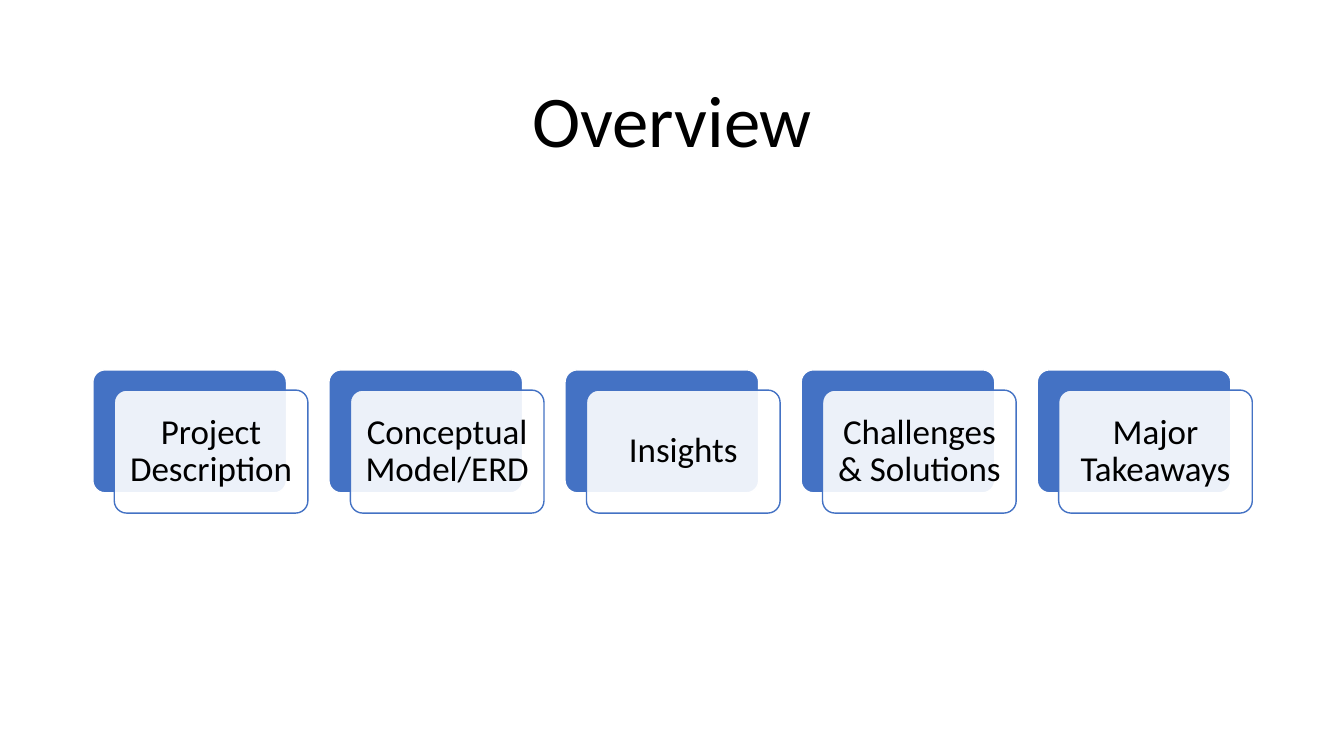
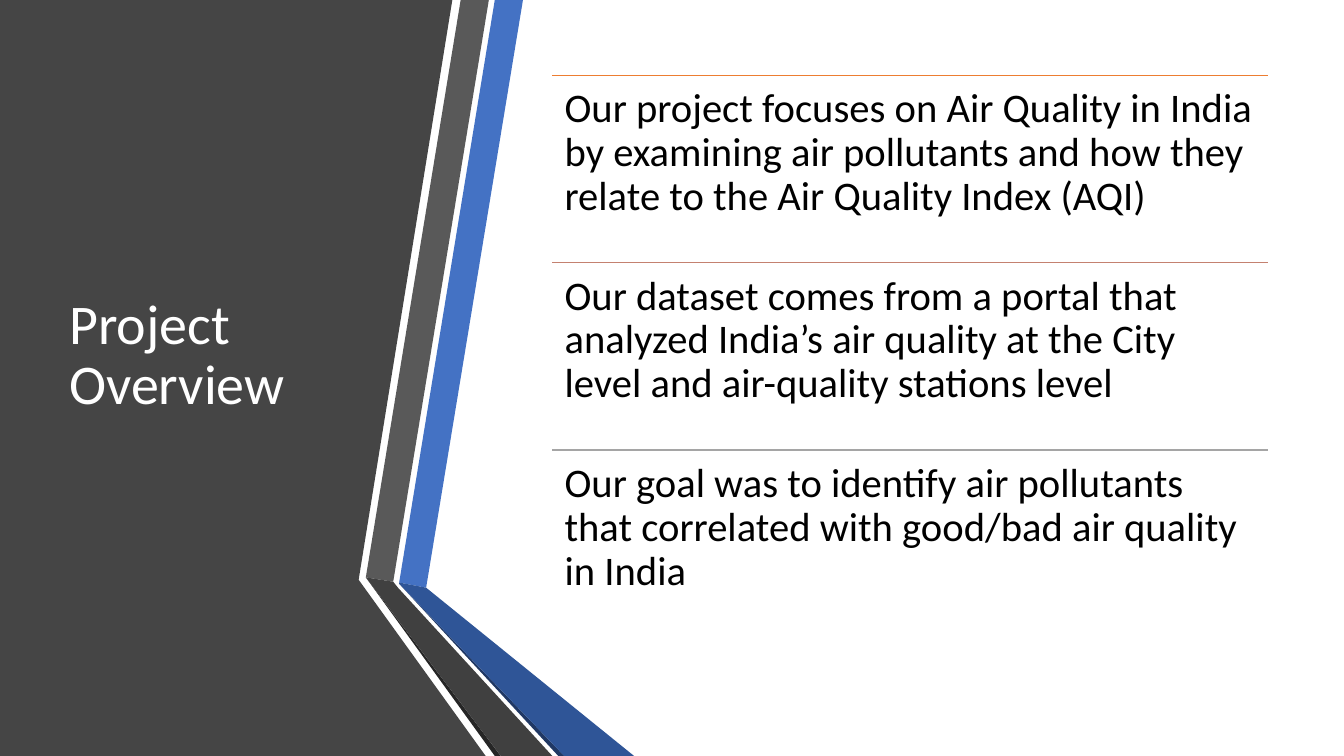
from lxml import etree
from pptx import Presentation
from pptx.dml.color import RGBColor
from pptx.enum.shapes import MSO_CONNECTOR, MSO_SHAPE
from pptx.enum.text import MSO_ANCHOR, PP_ALIGN
from pptx.oxml.ns import qn
from pptx.util import Cm, Pt

CENTER, LEFT = PP_ALIGN.CENTER, PP_ALIGN.LEFT
TOP, MIDDLE = MSO_ANCHOR.TOP, MSO_ANCHOR.MIDDLE
ROUND, STRAIGHT = MSO_SHAPE.ROUNDED_RECTANGLE, MSO_CONNECTOR.STRAIGHT
FONT = "Calibri"
WIDE, HIGH = 33.87, 19.05
COLORS = {name: RGBColor.from_string(code) for name, code in {
    "white": "FFFFFF", "black": "000000", "blue": "4472C4",
    "deep": "2F5597", "navy": "203864", "panel": "454545",
    "gray": "595959", "coal": "404040", "dark": "262626",
    "orange": "ED7D31", "rose": "C48170", "silver": "A5A5A5",
}.items()}


def write(shape, words, size, color="black", align=LEFT, anchor=MIDDLE, inset=0.25):
    frame = shape.text_frame
    frame.word_wrap = True
    frame.vertical_anchor = anchor
    frame.margin_left = frame.margin_right = Cm(inset)
    frame.margin_top = frame.margin_bottom = Cm(inset)
    para = frame.paragraphs[0]
    para.text = words
    para.alignment = align
    para.line_spacing = 0.9
    para.font.name = FONT
    para.font.size = Pt(size)
    para.font.color.rgb = COLORS[color]


def paint(shape, fill, line=None):
    shape.shadow.inherit = False
    shape.fill.solid()
    shape.fill.fore_color.rgb = COLORS[fill]
    if line:
        shape.line.color.rgb = COLORS[line]
        shape.line.width = Pt(1)
    else:
        shape.line.fill.background()


deck = Presentation()
deck.slide_width, deck.slide_height = Cm(WIDE), Cm(HIGH)
blank = deck.slide_layouts[6]

# Overview: a row of five cards
slide = deck.slides.add_slide(blank)
title = slide.shapes.add_textbox(Cm(2.34), Cm(1.55), Cm(29.2), Cm(3.15))
write(title, "Overview", 52, align=CENTER)

topics = ["Project Description", "Conceptual Model/ERD", "Insights",
          "Challenges & Solutions", "Major Takeaways"]
for i, topic in enumerate(topics):
    left, top = 2.34 + i * 5.95, 9.32
    back = slide.shapes.add_shape(ROUND, Cm(left), Cm(top), Cm(4.88), Cm(3.1))
    front = slide.shapes.add_shape(
        ROUND, Cm(left + 0.54), Cm(top + 0.51), Cm(4.88), Cm(3.1))
    for card, fill, line in [(back, "blue", "white"), (front, "white", "blue")]:
        card.adjustments[0] = 0.1
        paint(card, fill, line)
    tint = front.fill._xPr.find(qn("a:solidFill"))[0]
    etree.SubElement(tint, qn("a:alpha")).set("val", "90000")
    write(front, topic, 25, align=CENTER)

# Project overview: folded bands on the left, three statements on the right
slide = deck.slides.add_slide(blank)
bands = [
    ("panel", [(0, 0), (11.4, 0), (9.04, 14.61), (12.24, HIGH), (0, HIGH)]),
    ("blue", [(10.06, 14.68), (10.74, 14.81), (13.18, 0), (12.47, 0)]),
    ("gray", [(12.32, 0), (11.61, 0), (9.22, 14.55), (9.91, 14.66)]),
    ("dark", [(9.22, 14.55), (12.47, HIGH), (12.62, HIGH)]),
    ("navy", [(10.06, 14.71), (14.07, HIGH), (14.22, HIGH)]),
    ("deep", [(10.06, 14.68), (10.06, 14.71), (14.22, HIGH), (15.98, HIGH),
              (10.74, 14.81)]),
    ("coal", [(13.92, HIGH), (10.03, 14.81), (9.91, 14.66), (9.22, 14.55),
              (12.62, HIGH)]),
]
for fill, points in bands:
    start, *rest = [(Cm(x), Cm(y)) for x, y in points]
    path = slide.shapes.build_freeform(*start)
    path.add_line_segments(rest)
    paint(path.convert_to_shape(), fill)

title = slide.shapes.add_textbox(Cm(1.5), Cm(1.9), Cm(7.72), Cm(14.17))
write(title, "Project Overview", 40, "white")

points = [
    ("orange", "Our project focuses on Air Quality in India by examining air "
               "pollutants and how they relate to the Air Quality Index (AQI)"),
    ("rose", "Our dataset comes from a portal that analyzed India’s air quality "
             "at the City level and air-quality stations level"),
    ("silver", "Our goal was to identify air pollutants that correlated with "
               "good/bad air quality in India"),
]
left, width, height = 13.92, 18.03, 4.72
for i, (color, words) in enumerate(points):
    top = 1.9 + i * height
    rule = slide.shapes.add_connector(
        STRAIGHT, Cm(left), Cm(top), Cm(left + width), Cm(top))
    rule.line.color.rgb = COLORS[color]
    rule.line.width = Pt(1)
    etree.SubElement(rule._element.spPr, qn("a:effectLst"))
    box = slide.shapes.add_textbox(Cm(left), Cm(top), Cm(width), Cm(height))
    write(box, words, 29, anchor=TOP, inset=0.31)

deck.save("out.pptx")
